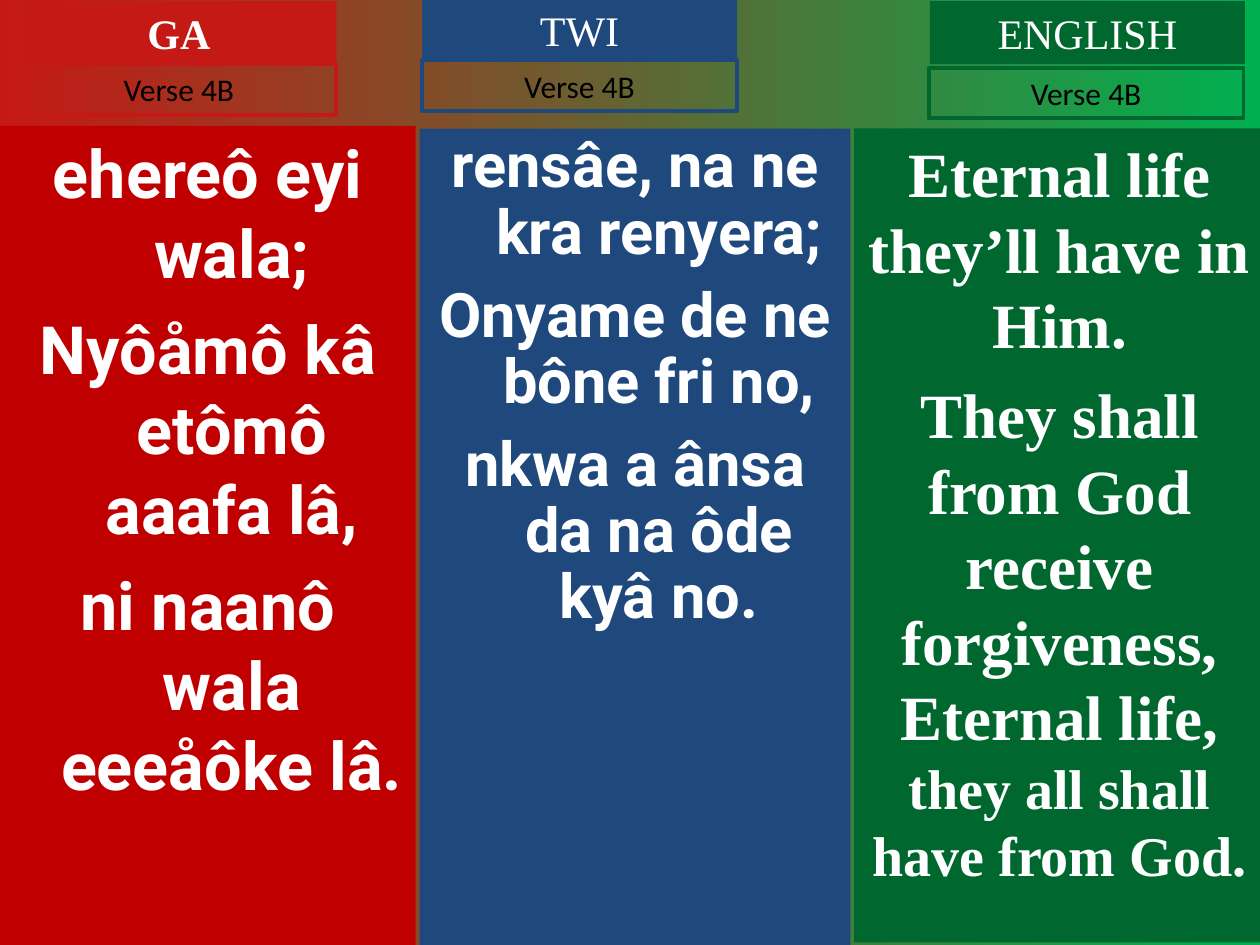
from dataclasses import dataclass

from pptx import Presentation
from pptx.dml.color import RGBColor
from pptx.enum import shapes, text
from pptx.util import Inches, Pt


@dataclass(frozen=True)
class Theme:
    red: str = "C51915"
    deep_red: str = "C00000"
    blue: str = "1F497D"
    green: str = "00682F"
    bright_green: str = "00B050"
    white: str = "FFFFFF"
    black: str = "000000"
    heading_size: float = 24
    label_size: float = 18
    ga_size: float = 38
    twi_size: float = 35.1
    english_size: float = 36
    english_small: float = 32
    serif: str = "Times New Roman"
    sans: str = "Calibri"
    verse_font: str = "Roboto"


theme = Theme()


def add_box(slide, place, fill=None, line=None):
    shape = slide.shapes.add_shape(
        shapes.MSO_SHAPE.RECTANGLE, *[Inches(value) for value in place])
    shape.shadow.inherit = False
    if fill:
        shape.fill.solid()
        shape.fill.fore_color.rgb = RGBColor.from_string(fill)
    else:
        shape.fill.background()
    if line:
        shape.line.color.rgb = RGBColor.from_string(line)
        shape.line.width = Pt(2.25)
    else:
        shape.line.fill.background()
    shape.text_frame.word_wrap = True
    shape.text_frame.vertical_anchor = text.MSO_ANCHOR.TOP
    return shape


def format_runs(paragraph, font, size, color, bold=False):
    paragraph.alignment = text.PP_ALIGN.CENTER
    for run in paragraph.runs:
        run.font.name = font
        run.font.size = Pt(size)
        run.font.bold = bold
        run.font.color.rgb = RGBColor.from_string(color)


columns = [
    dict(heading="GA", bold=True, color=theme.red,
         heading_at=(0.17, 0.01), label_at=(0.17, 0.51),
         panel=(0, 1, 3.3, 6.5), panel_color=theme.deep_red,
         font=theme.verse_font, size=theme.ga_size,
         hanging=0.38, spacing=1.0, gap=9.5,
         verses=["ehereô eyi wala;",
                 "Nyôåmô kâ etômô aaafa lâ,",
                 "ni naanô wala eeeåôke lâ."]),
    dict(heading="TWI", bold=False, color=theme.blue,
         heading_at=(3.35, -0.01), label_at=(3.35, 0.48),
         panel=(3.33, 1.02, 3.42, 6.48), panel_color=theme.blue,
         font=theme.verse_font, size=theme.twi_size,
         hanging=0.38, spacing=0.9, gap=9.5,
         verses=["rensâe, na ne kra renyera;",
                 "Onyame de ne bône fri no,",
                 "nkwa a ânsa da na ôde kyâ no."]),
    dict(heading="ENGLISH", bold=False, color=theme.green,
         heading_at=(7.38, 0.01), label_at=(7.37, 0.54),
         panel=(6.78, 1.02, 3.26, 6.46), panel_color=theme.green,
         font=theme.serif, size=theme.english_size,
         hanging=0, spacing=1.0, gap=8,
         verses=["Eternal life they’ll have in Him.",
                 "They shall from God receive forgiveness, Eternal life, "]),
]

presentation = Presentation()
presentation.slide_width = Inches(10)
presentation.slide_height = Inches(7.5)
slide = presentation.slides.add_slide(presentation.slide_layouts[6])

background = slide.background.fill
background.gradient()
background.gradient_angle = 0
for stop, color, position in zip(
        background.gradient_stops, (theme.red, theme.bright_green), (0, 1)):
    stop.color.rgb = RGBColor.from_string(color)
    stop.position = position

for column in columns:
    panel = add_box(slide, column["panel"], fill=column["panel_color"])
    frame = panel.text_frame
    frame.text = "\n".join(column["verses"])
    for number, paragraph in enumerate(frame.paragraphs):
        properties = paragraph._p.get_or_add_pPr()
        properties.set("marL", str(Inches(column["hanging"])))
        properties.set("indent", str(-Inches(column["hanging"])))
        paragraph.line_spacing = column["spacing"]
        paragraph.space_before = Pt(column["gap"] if number else 0)
        format_runs(paragraph, column["font"], column["size"], theme.white, True)

    heading = add_box(slide, (*column["heading_at"], 2.5, 0.5), fill=column["color"])
    heading.text_frame.text = column["heading"]
    format_runs(heading.text_frame.paragraphs[0], theme.serif,
                theme.heading_size, theme.white, column["bold"])

    label = add_box(slide, (*column["label_at"], 2.5, 0.4), line=column["color"])
    label.text_frame.text = "Verse 4B"
    format_runs(label.text_frame.paragraphs[0], theme.sans,
                theme.label_size, theme.black)

    for shape in (heading, label):
        shape.text_frame.auto_size = text.MSO_AUTO_SIZE.SHAPE_TO_FIT_TEXT

# The English verse, last in the loop, closes in a smaller size.
closing = frame.paragraphs[-1].add_run()
closing.text = "they all shall have from God."
closing.font.name = theme.serif
closing.font.size = Pt(theme.english_small)
closing.font.bold = True
closing.font.color.rgb = RGBColor.from_string(theme.white)

presentation.save("out.pptx")
